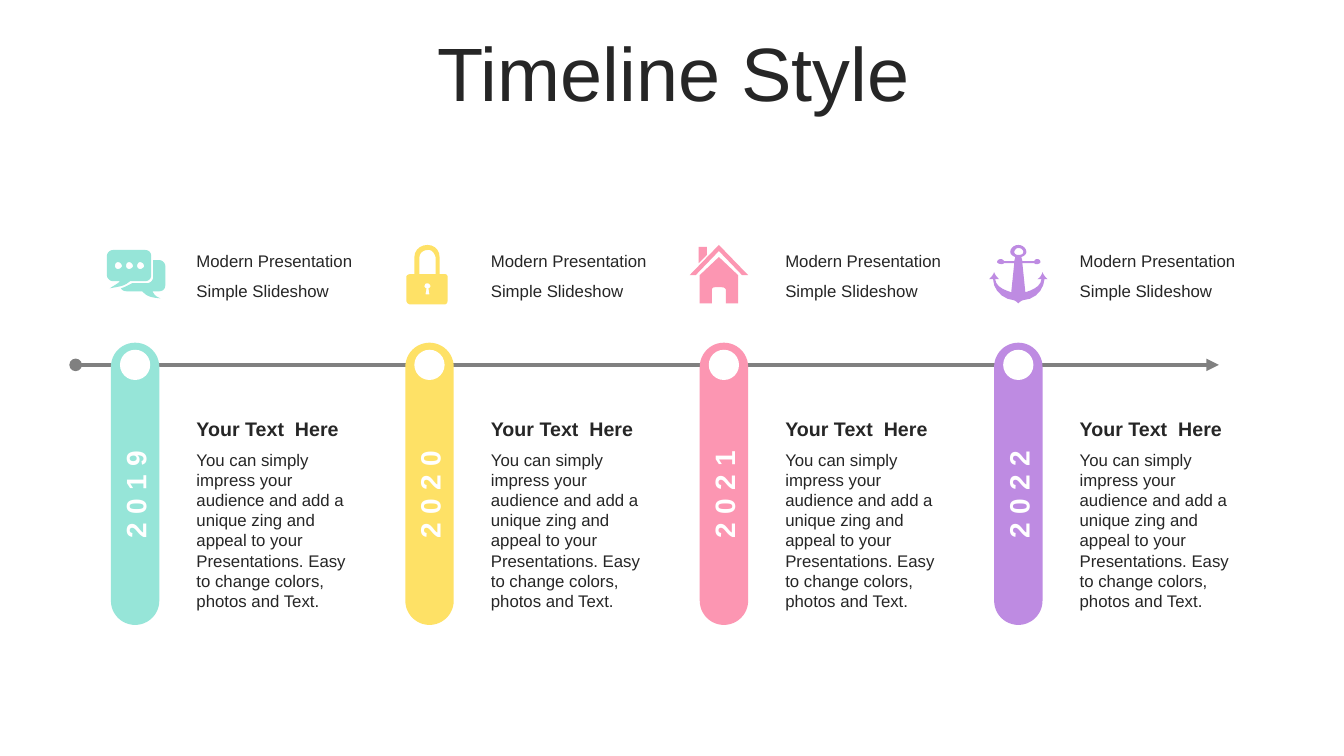
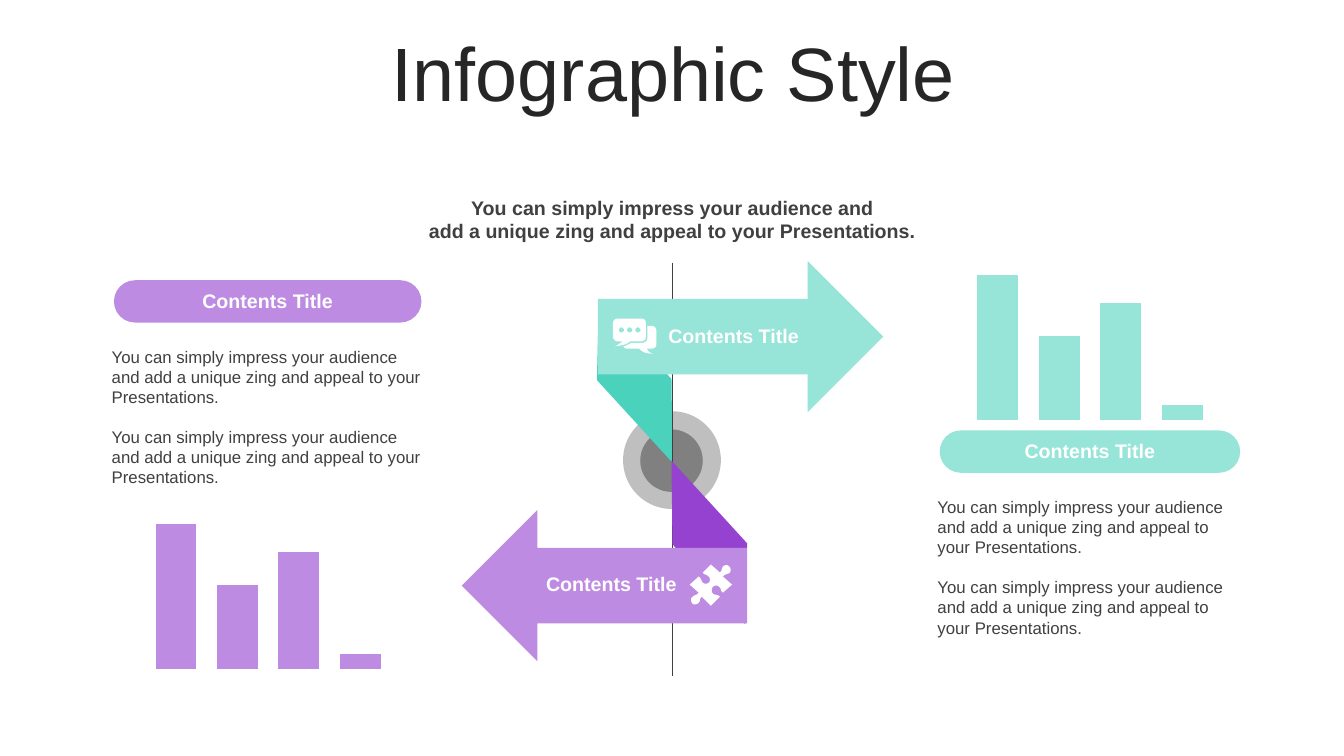
"""Build a timeline slide and an infographic slide in one pastel style."""
import pptx
import pptx.chart.data
import pptx.dml.color
import pptx.enum.chart
import pptx.enum.shapes
import pptx.enum.text
import pptx.oxml.ns
import pptx.oxml.xmlchemy
import pptx.util

Inches = pptx.util.Inches
Pt = pptx.util.Pt
RGBColor = pptx.dml.color.RGBColor
SHAPE = pptx.enum.shapes.MSO_SHAPE
ALIGN = pptx.enum.text.PP_ALIGN
ANCHOR = pptx.enum.text.MSO_ANCHOR

FONT = "Arial"
MINT = RGBColor(0x96, 0xE5, 0xD8)
DARK_MINT = RGBColor(0x4A, 0xD2, 0xBC)
YELLOW = RGBColor(0xFE, 0xE1, 0x66)
PINK = RGBColor(0xFC, 0x96, 0xB2)
PURPLE = RGBColor(0xBE, 0x8B, 0xE2)
DARK_PURPLE = RGBColor(0x95, 0x42, 0xD0)
WHITE = RGBColor(0xFF, 0xFF, 0xFF)
SILVER = RGBColor(0xBF, 0xBF, 0xBF)
GRAY = RGBColor(0x80, 0x80, 0x80)
CHARCOAL = RGBColor(0x40, 0x40, 0x40)
INK = RGBColor(0x26, 0x26, 0x26)

SPEECH_BUBBLES = (
    "33 12, 31 12 30 14 30 16, 30 17 31 19 33 19, 35 19 37 17 37 16, 37 14 35 12 33 12;"
    "22 12, 20 12 19 14 19 16, 19 17 20 19 22 19, 24 19 26 17 26 16, 26 14 24 12 22 12;"
    "11 12, 9 12 8 14 8 16, 8 17 9 19 11 19, 13 19 15 17 15 16, 15 14 13 12 11 12;"
    "46 10, 52 10, 55 10 58 13 58 16, 58 35, 58 39 55 41 52 41, 45 41,"
    "47 43 46 45 53 48, 42 47 40 46 35 41, 20 41, 17 41 15 40 14 38,"
    "18 37 21 35 25 33, 40 33, 43 33 46 30 46 27;"
    "6 0, 38 0, 42 0 44 3 44 6, 44 25, 44 28 42 31 38 31, 23 31,"
    "17 36 14 36 3 38, 9 34 10 34 13 31, 6 31, 3 31 0 28 0 25, 0 6, 0 3 3 0 6 0"
)
PADLOCK = (
    "21 38, 19 38 18 39 18 41, 18 42 19 43 20 43, 19 49, 23 49, 22 43,"
    "23 43 24 42 24 41, 24 39 22 38 21 38;"
    "21 5, 17 5 13 8 13 12, 13 29, 29 29, 29 12, 28 8 25 4 21 5;"
    "21 0, 28 0 33 5 33 12, 33 29, 38 29, 40 29 41 30 41 32, 41 55,"
    "41 57 40 59 38 59, 4 59, 2 59 0 57 0 55, 0 32, 0 30 2 29 4 29,"
    "8 29, 8 12, 8 5 14 0 21 0"
)
HOUSE = (
    "29 12, 48 30, 48 58, 36 58, 36 45, 36 43 34 42 32 42, 25 42,"
    "23 42 22 43 22 45, 22 58, 10 58, 10 30;"
    "9 2, 17 2, 17 10, 9 18;"
    "29 0, 58 30, 52 30, 29 6, 6 30, 0 30"
)
ANCHOR_ICON = (
    "29 3, 27 3 25 5 25 7, 25 9 27 10 29 10, 32 10 34 9 34 7, 34 5 32 3 29 3;"
    "29 0, 33 0 37 3 37 7, 37 9 35 11 32 12, 33 16, 45 16, 45 15 46 14 48 14,"
    "49 14 51 15 51 17, 51 18 49 19 48 19, 46 19 45 19 45 18, 33 18, 36 47,"
    "45 44 51 41 52 34, 51 34 49 34 48 34, 51 32 52 30 53 27, 54 30 56 32 58 34,"
    "57 34 56 34 55 34, 54 44 47 54 33 55, 31 56 30 57 29 58, 28 57 27 56 25 55,"
    "13 54 4 44 4 34, 2 34 1 34 0 34, 2 32 4 30 5 27, 6 30 8 32 10 34,"
    "9 34 8 34 6 34, 7 41 13 44 22 47, 25 18, 15 18, 14 19 13 19 12 19,"
    "10 19 8 18 8 17, 8 15 10 14 12 14, 13 14 14 15 15 16, 25 16, 26 12,"
    "23 11 21 9 21 7, 21 3 25 0 29 0"
)
PUZZLE_PIECE = (
    "39 2, 41 3 41 6 40 8, 38 10 35 9 33 12, 42 20, 33 28, 30 26 32 24 29 22,"
    "27 20 25 21 23 22, 22 24 21 26 23 29, 26 31 27 29 30 32, 21 41, 12 32,"
    "9 35 11 36 9 38, 7 40 4 40 3 39, 1 37 1 34 2 33, 4 30 7 31 9 28, 0 20,"
    "9 12, 12 14 11 16 13 18, 15 20 18 19 19 18, 20 17 21 14 19 12,"
    "16 9 15 11 13 8, 21 0, 30 8, 33 5 31 5 33 2, 35 0 38 0 39 2"
)
UPPER_FOLD = "2 0, 74 79, 75 162, 0 80"
LOWER_FOLD = "73 162, 1 83, 0 0, 75 82"

PITCH = "You can simply impress your audience and add a unique zing and appeal to your Presentations."


def add_figure(slide, form, left, top, width, height, color):
    """Add a filled preset shape, or an outline whose 6-number steps are curves."""
    if isinstance(form, str):
        builder = None
        for outline in form.split(";"):
            points = []
            for step in outline.split(","):
                numbers = [100 * int(number) for number in step.split()]
                if len(numbers) == 2:
                    points.append(tuple(numbers))
                    continue
                x0, y0 = points[-1]
                x1, y1, x2, y2, x3, y3 = numbers
                for t in (0.2, 0.4, 0.6, 0.8, 1):
                    a, b, c, d = (1 - t) ** 3, 3 * t * (1 - t) ** 2, 3 * t * t * (1 - t), t ** 3
                    points.append((a * x0 + b * x1 + c * x2 + d * x3,
                                   a * y0 + b * y1 + c * y2 + d * y3))
            if builder is None:
                builder = slide.shapes.build_freeform(*points[0], scale=Inches(0.01) / 100)
            else:
                builder.move_to(*points[0])
            builder.add_line_segments(points[1:], close=True)
        shape = builder.convert_to_shape()
        shape.left, shape.top = Inches(left), Inches(top)
        shape.width, shape.height = Inches(width), Inches(height)
    else:
        shape = slide.shapes.add_shape(
            form, Inches(left), Inches(top), Inches(width), Inches(height))
        if form == SHAPE.ROUNDED_RECTANGLE:
            shape.adjustments[0] = 0.5
    shape.shadow.inherit = False
    shape.fill.solid()
    shape.fill.fore_color.rgb = color
    shape.line.fill.background()


def add_text(slide, text, left, top, width, height, size, color,
             bold=False, align=ALIGN.LEFT, anchor=ANCHOR.TOP):
    """Add a wrapped text box with one style for all of its paragraphs."""
    box = slide.shapes.add_textbox(Inches(left), Inches(top), Inches(width), Inches(height))
    frame = box.text_frame
    frame.word_wrap = True
    frame.vertical_anchor = anchor
    frame.text = text
    for paragraph in frame.paragraphs:
        paragraph.alignment = align
        for run in paragraph.runs:
            run.font.name = FONT
            run.font.size = Pt(size)
            run.font.bold = bold
            run.font.color.rgb = color
    return box


presentation = pptx.Presentation()
presentation.slide_width = Inches(13.33)
presentation.slide_height = Inches(7.5)

slides = []
for title in ("Timeline Style", "Infographic Style"):
    slide = presentation.slides.add_slide(presentation.slide_layouts[6])
    title_box = add_text(slide, title, 0.35, 0.37, 12.66, 0.79, 54, INK,
                         align=ALIGN.CENTER, anchor=ANCHOR.MIDDLE)
    title_box.text_frame.paragraphs[0].line_spacing = 0.9
    slides.append(slide)
timeline, infographic = slides

time_arrow = timeline.shapes.add_connector(
    pptx.enum.shapes.MSO_CONNECTOR.STRAIGHT,
    Inches(0.75), Inches(3.62), Inches(12.09), Inches(3.62))

milestones = [
    ("2019", MINT, SPEECH_BUBBLES, 1.06, 2.48, 0.58, 0.48),
    ("2020", YELLOW, PADLOCK, 4.03, 2.43, 0.41, 0.59),
    ("2021", PINK, HOUSE, 6.84, 2.43, 0.58, 0.58),
    ("2022", PURPLE, ANCHOR_ICON, 9.81, 2.43, 0.58, 0.58),
]
for index, (year, color, icon, *icon_place) in enumerate(milestones):
    left = 1.1 + 2.92 * index
    text_left = left + 0.75
    add_figure(timeline, SHAPE.ROUNDED_RECTANGLE, left, 3.4, 0.48, 2.8, color)
    add_figure(timeline, SHAPE.OVAL, left + 0.09, 3.47, 0.3, 0.3, WHITE)
    year_box = add_text(timeline, year, left - 0.42, 4.69, 1.32, 0.44, 20, WHITE,
                        True, ALIGN.CENTER, ANCHOR.MIDDLE)
    year_box.rotation = 270
    year_box.text_frame.paragraphs[0].runs[0].font._element.set("spc", "600")
    add_figure(timeline, icon, *icon_place, color)
    add_text(timeline, "Modern Presentation", text_left, 2.44, 2.04, 0.3, 12, INK)
    add_text(timeline, "Simple Slideshow", text_left, 2.74, 2.04, 0.3, 12, INK)
    add_text(timeline, "Your Text  Here", text_left, 4.08, 1.82, 0.34, 14, INK,
             True, anchor=ANCHOR.MIDDLE)
    add_text(timeline, PITCH + " Easy to change colors, photos and Text.",
             text_left, 4.41, 1.82, 1.72, 12, INK)

add_figure(infographic, SHAPE.OVAL, 6.18, 4.08, 0.97, 0.97, SILVER)
add_figure(infographic, SHAPE.OVAL, 6.35, 4.26, 0.62, 0.62, GRAY)
add_figure(infographic, UPPER_FOLD, 5.92, 2.97, 0.75, 1.62, DARK_MINT)
add_text(infographic,
         "You can simply impress your audience and\n"
         "add a unique zing and appeal to your Presentations.",
         2.59, 1.89, 8.16, 0.57, 14, CHARCOAL, True, ALIGN.CENTER)
center_line = infographic.shapes.add_connector(
    pptx.enum.shapes.MSO_CONNECTOR.STRAIGHT,
    Inches(6.67), Inches(2.61), Inches(6.67), Inches(6.71))
add_figure(infographic, SHAPE.RIGHT_ARROW, 5.93, 2.59, 2.83, 1.5, MINT)
add_figure(infographic, LOWER_FOLD, 6.66, 4.57, 0.75, 1.62, DARK_PURPLE)
add_figure(infographic, SHAPE.LEFT_ARROW, 4.58, 5.06, 2.83, 1.5, PURPLE)
add_text(infographic, "Contents Title", 6.53, 3.16, 1.77, 0.34, 14, WHITE, True)
add_text(infographic, "Contents Title", 5.04, 5.62, 1.77, 0.34, 14, WHITE, True, ALIGN.RIGHT)
add_figure(infographic, SPEECH_BUBBLES, 6.08, 3.16, 0.43, 0.35, WHITE)
add_figure(infographic, PUZZLE_PIECE, 6.84, 5.6, 0.42, 0.41, WHITE)

panels = [
    (MINT, 9.32, 4.27, 2.98, 9.54, 2.47),
    (PURPLE, 1.13, 2.78, 3.05, 1.39, 4.94),
]
for color, left, top, width, chart_left, chart_top in panels:
    add_figure(infographic, SHAPE.ROUNDED_RECTANGLE, left, top, width, 0.42, color)
    add_text(infographic, "Contents Title", left + 0.1, top + 0.04, width - 0.2, 0.34,
             14, WHITE, True, ALIGN.CENTER)
    body = add_text(infographic, PITCH + "\n" + PITCH, left - 0.12, top + 0.61,
                    width + 0.25, 1.51, 12, CHARCOAL)
    body.text_frame.paragraphs[1].space_before = Pt(14)

    chart_data = pptx.chart.data.CategoryChartData()
    chart_data.categories = ["1", "2", "3", "4"]
    chart_data.add_series("Series 1", (100, 58, 81, 10))
    chart = infographic.shapes.add_chart(
        pptx.enum.chart.XL_CHART_TYPE.COLUMN_CLUSTERED,
        Inches(chart_left), Inches(chart_top), Inches(2.54), Inches(1.73), chart_data).chart
    chart.has_legend = False
    chart.has_title = False
    chart.font.name = FONT
    chart.font.size = Pt(18)
    chart.category_axis.visible = False
    chart.value_axis.visible = False
    chart.value_axis.has_major_gridlines = False
    chart.value_axis.minimum_scale = 0
    chart.value_axis.maximum_scale = 116
    plot = chart.plots[0]
    plot.gap_width = 50
    plot.vary_by_categories = False
    plot.series[0].format.fill.solid()
    plot.series[0].format.fill.fore_color.rgb = color

for connector, color, width in ((time_arrow, GRAY, 3), (center_line, CHARCOAL, 0.5)):
    connector.line.color.rgb = color
    connector.line.width = Pt(width)
    connector._element.spPr.append(pptx.oxml.xmlchemy.OxmlElement("a:effectLst"))

arrow_line = time_arrow._element.spPr.find(pptx.oxml.ns.qn("a:ln"))
for end, style in (("a:headEnd", "oval"), ("a:tailEnd", "triangle")):
    arrowhead = pptx.oxml.xmlchemy.OxmlElement(end)
    arrowhead.set("type", style)
    arrow_line.append(arrowhead)

presentation.save("out.pptx")
